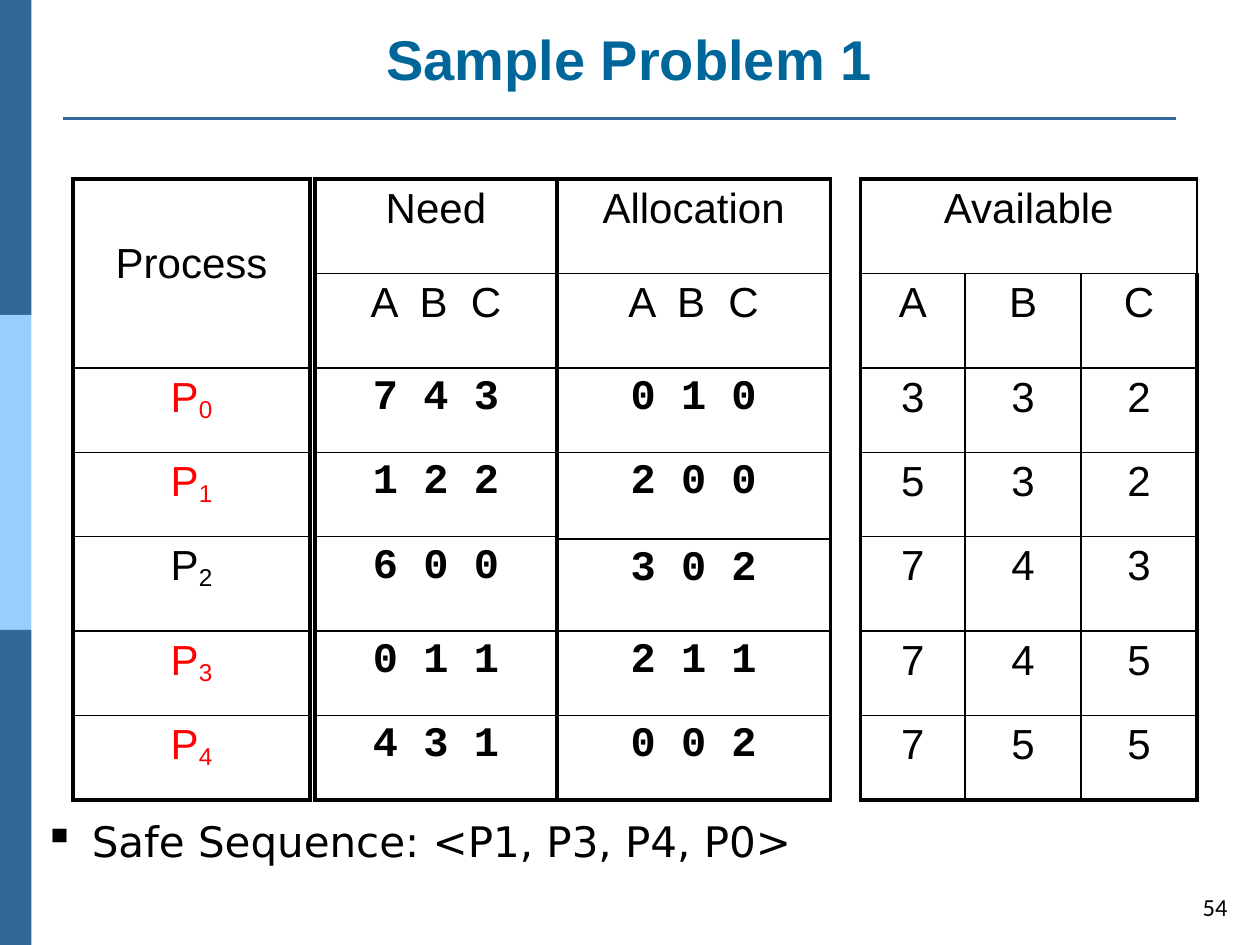
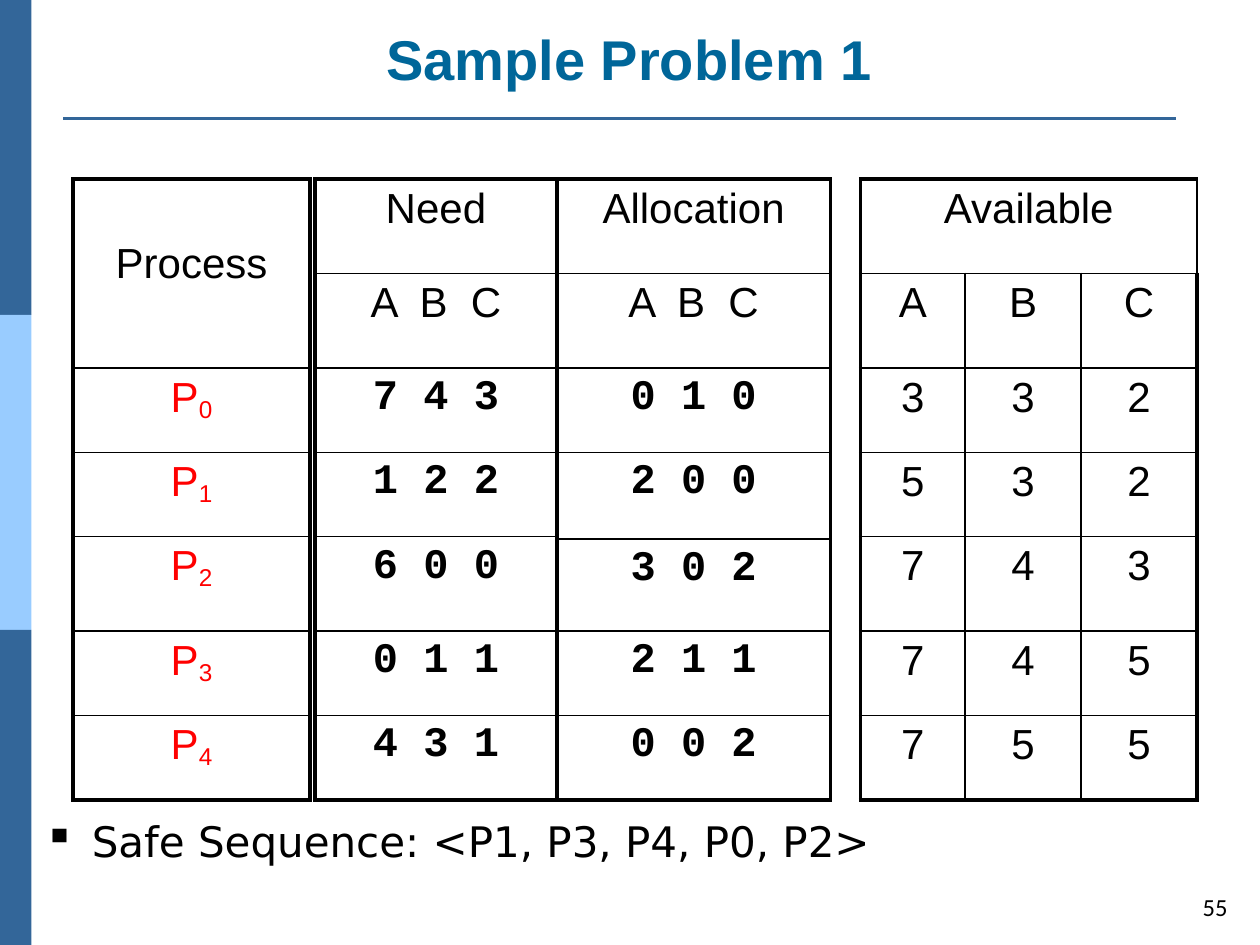
from lxml import etree
from pptx import Presentation
from pptx.dml.color import RGBColor
from pptx.enum.shapes import MSO_CONNECTOR, MSO_SHAPE
from pptx.enum.text import MSO_ANCHOR, PP_ALIGN
from pptx.oxml.ns import qn
from pptx.util import Inches, Pt

RECT = MSO_SHAPE.RECTANGLE
STRAIGHT = MSO_CONNECTOR.STRAIGHT
LEFT, CENTER, RIGHT = PP_ALIGN.LEFT, PP_ALIGN.CENTER, PP_ALIGN.RIGHT
TOP, MIDDLE, BOTTOM = MSO_ANCHOR.TOP, MSO_ANCHOR.MIDDLE, MSO_ANCHOR.BOTTOM

COLORS = {
    "band": "336699",
    "band_light": "99CCFF",
    "title": "006699",
    "text": "000000",
    "finished": "FF0000",
}
TABLE_TOP = 1.42
HEAD, ROW = 0.75, 0.67
ROW_HEIGHTS = [HEAD, HEAD, ROW, ROW, HEAD, ROW, ROW]
ALLOCATION_HEIGHTS = [HEAD, HEAD, ROW, 0.69, 0.73, ROW, ROW]
PROCESSES = ["P0", "P1", "P2", "P3", "P4"]
NEED = ["7 4 3", "1 2 2", "6 0 0", "0 1 1", "4 3 1"]
ALLOCATION = ["0 1 0", "2 0 0", "3 0 2", "2 1 1", "0 0 2"]
AVAILABLE = ["332", "532", "743", "745", "755"]
SLIDES = [
    (54, ["P1", "P3", "P4", "P0"]),
    (55, ["P1", "P3", "P4", "P0", "P2"]),
]


def rgb(name):
    return RGBColor.from_string(COLORS[name])


class Deck:
    def __init__(self):
        self.prs = Presentation()
        self.prs.slide_width = Inches(10)
        self.prs.slide_height = Inches(7.5)
        self.slide = None

    def add_slide(self, title, number):
        self.slide = self.prs.slides.add_slide(self.prs.slide_layouts[6])
        for i, color in enumerate(["band", "band_light", "band"]):
            self.rect(0, 2.5 * i, 0.25, 2.5, color)
        self.line(0.5, 0.94, 9.33, 0.94, "band", 1.5)
        self.text(0.33, 0.04, 9.33, 0.74, title, 32, "Arial", CENTER, BOTTOM, "title", True)
        self.text(9.39, 6.99, 0.45, 0.41, str(number), 14, "Calibri", RIGHT, MIDDLE)

    def rect(self, x, y, w, h, color):
        sp = self.slide.shapes.add_shape(RECT, Inches(x), Inches(y), Inches(w), Inches(h))
        sp.shadow.inherit = False
        sp.fill.solid()
        sp.fill.fore_color.rgb = rgb(color)
        sp.line.fill.background()

    def line(self, x1, y1, x2, y2, color, width):
        sp = self.slide.shapes.add_connector(
            STRAIGHT, Inches(x1), Inches(y1), Inches(x2), Inches(y2))
        sp.line.color.rgb = rgb(color)
        sp.line.width = Pt(width)
        etree.SubElement(sp._element.spPr, qn("a:effectLst"))

    def style(self, p, size, font, color="text", bold=False, align=CENTER):
        p.alignment = align
        p.font.size = Pt(size)
        p.font.name = font
        p.font.bold = bold
        p.font.color.rgb = rgb(color)

    def text(self, x, y, w, h, text, size, font, align=LEFT, anchor=TOP,
             color="text", bold=False):
        sp = self.slide.shapes.add_textbox(Inches(x), Inches(y), Inches(w), Inches(h))
        tf = sp.text_frame
        tf.word_wrap = True
        tf.vertical_anchor = anchor
        p = tf.paragraphs[0]
        p.text = text
        self.style(p, size, font, color, bold, align)
        return p

    def bullet(self, x, y, w, h, text):
        p = self.text(x, y, w, h, text, 24, "DejaVu Sans")
        p.line_spacing = 0.8
        pPr = p._p.get_or_add_pPr()
        pPr.set("marL", str(Inches(0.38)))
        pPr.set("indent", str(-Inches(0.38)))
        bu = etree.Element(qn("a:buChar"), char="▪")
        pPr.find(qn("a:defRPr")).addprevious(bu)

    def borders(self, cell, widths):
        tcPr = cell._tc.get_or_add_tcPr()
        for side, width in zip("LRTB", widths):
            ln = etree.SubElement(tcPr, qn("a:ln" + side), w=str(Pt(width)))
            fill = etree.SubElement(ln, qn("a:solidFill"))
            etree.SubElement(fill, qn("a:srgbClr"), val=COLORS["text"])

    def cell(self, cell, text, font="Arial", color="text", bold=False):
        p = cell.text_frame.paragraphs[0]
        self.style(p, 24, font, color, bold)
        if text in PROCESSES:
            p.add_run().text = text[0]
            r = p.add_run()
            r.text = text[1:]
            r._r.get_or_add_rPr().set("baseline", "-14000")
        elif text:
            r = p.add_run()
            r.text = text
            if text == "A B C":
                r._r.get_or_add_rPr().set("spc", "333")

    def table(self, x, widths, heights, rows, body_style=lambda text: {}):
        sp = self.slide.shapes.add_table(
            len(rows), len(widths), Inches(x), Inches(TABLE_TOP),
            Inches(sum(widths)), Inches(sum(heights)))
        table = sp.table
        table.first_row = table.horz_banding = False
        for column, width in zip(table.columns, widths):
            column.width = Inches(width)
        for row, height in zip(table.rows, heights):
            row.height = Inches(height)
        last_row, last_col = len(rows) - 1, len(widths) - 1
        first_body = len(rows) - len(PROCESSES)
        for i, texts in enumerate(rows):
            for j, text in enumerate(texts):
                cell = table.cell(i, j)
                outer = [j == 0, j == last_col, i == 0, i == last_row]
                self.borders(cell, [2.25 if edge else 1 for edge in outer])
                cell.fill.background()
                self.cell(cell, text, **(body_style(text) if i >= first_body else {}))
        return table


def vectors(text):
    return {"font": "Courier New", "bold": True}


def build_problem(deck, number, sequence):
    deck.add_slide("Sample Problem 1", number)
    deck.bullet(0.25, 6.5, 9.58, 0.83, f"Safe Sequence: <{', '.join(sequence)}>")

    process = deck.table(
        0.58, [1.88], [2 * HEAD] + ROW_HEIGHTS[2:], [[t] for t in ["Process"] + PROCESSES],
        lambda text: {"color": "finished" if text in sequence else "text"})
    process.cell(0, 0).margin_top = Inches(0.49)

    available = deck.table(
        6.83, [0.83, 0.92, 0.92], ROW_HEIGHTS,
        [["Available", "", ""], "ABC"] + AVAILABLE)
    available.cell(0, 0).merge(available.cell(0, 2))

    for x, width, heights, name, values in [
        (4.42, 2.17, ALLOCATION_HEIGHTS, "Allocation", ALLOCATION),
        (2.5, 1.92, ROW_HEIGHTS, "Need", NEED),
    ]:
        deck.table(x, [width], heights, [[t] for t in [name, "A B C"] + values], vectors)


def main():
    deck = Deck()
    for number, sequence in SLIDES:
        build_problem(deck, number, sequence)
    deck.prs.save("out.pptx")


if __name__ == "__main__":
    main()
